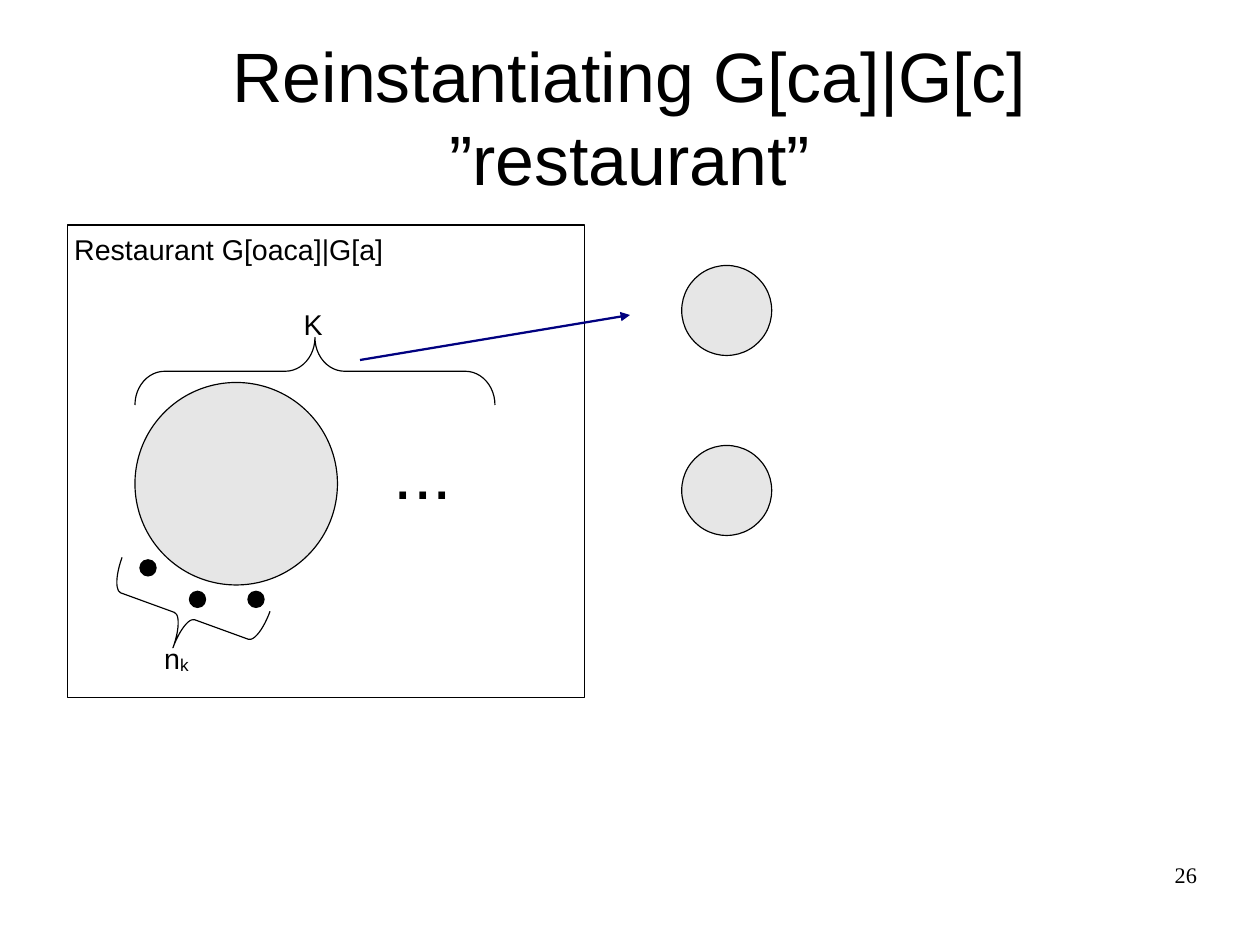
from dataclasses import dataclass

from lxml import etree
from pptx import Presentation
from pptx.dml.color import RGBColor
from pptx.enum.shapes import MSO_CONNECTOR, MSO_SHAPE
from pptx.enum.text import MSO_ANCHOR, PP_ALIGN
from pptx.oxml.ns import qn
from pptx.util import Cm, Pt

RECT = MSO_SHAPE.RECTANGLE
OVAL = MSO_SHAPE.OVAL
BRACE = MSO_SHAPE.RIGHT_BRACE
LINE = MSO_CONNECTOR.STRAIGHT
TOP, MIDDLE = MSO_ANCHOR.TOP, MSO_ANCHOR.MIDDLE
LEFT, CENTER, RIGHT = PP_ALIGN.LEFT, PP_ALIGN.CENTER, PP_ALIGN.RIGHT

BLACK, GREY, NAVY = "000000", "E6E6E6", "000080"


@dataclass
class Disc:
    left: float
    top: float
    size: float
    fill: str


@dataclass
class Brace:
    left: float
    top: float
    width: float
    height: float
    turn: float
    curve: float


TABLES = [Disc(3, 8.5, 4.5, GREY)] + [Disc(15.15, top, 2, GREY) for top in (5.9, 9.9)]
GUESTS = [
    Disc(left, top, 0.36, BLACK)
    for left, top in ((4.21, 13.14), (5.51, 13.14), (3.11, 12.44))
]
BRACES = [
    Brace(6.25, 4.25, 1.5, 8, 270, 0.44),
    Brace(3.35, 11.94, 1.5, 3.5, 110, 0.16),
]


def color(code: str) -> RGBColor:
    return RGBColor.from_string(code)


def add_form(slide, kind, left: float, top: float, width: float, height: float,
             fill: str = ""):
    form = slide.shapes.add_shape(kind, Cm(left), Cm(top), Cm(width), Cm(height))
    form.shadow.inherit = False
    if fill:
        form.fill.solid()
        form.fill.fore_color.rgb = color(fill)
    else:
        form.fill.background()
    form.line.color.rgb = color(BLACK)
    form.line.width = Pt(0)
    return form


def add_disc(slide, disc: Disc) -> None:
    add_form(slide, OVAL, disc.left, disc.top, disc.size, disc.size, disc.fill)


def add_brace(slide, brace: Brace) -> None:
    form = add_form(slide, BRACE, brace.left, brace.top, brace.width, brace.height)
    form.adjustments[0] = brace.curve
    form.rotation = brace.turn


def add_text(slide, text: str, left: float, top: float, width: float, height: float, *,
             size: float = 18, font: str = "Arial", align=LEFT, anchor=TOP,
             pad: bool = True, sub: str = "") -> None:
    box = slide.shapes.add_textbox(Cm(left), Cm(top), Cm(width), Cm(height))
    frame = box.text_frame
    frame.word_wrap = True
    frame.vertical_anchor = anchor
    if not pad:
        frame.margin_left = frame.margin_right = 0
        frame.margin_top = frame.margin_bottom = 0
    para = frame.paragraphs[0]
    para.alignment = align
    for part in filter(None, (text, sub)):
        run = para.add_run()
        run.text = part
        run.font.name = font
        run.font.size = Pt(size)
        run.font.color.rgb = color(BLACK)
    if sub:
        run.font.size = Pt(18.6)
        run._r.get_or_add_rPr().set("baseline", "-8000")


def add_arrow(slide, x1: float, y1: float, x2: float, y2: float) -> None:
    arrow = slide.shapes.add_connector(LINE, Cm(x1), Cm(y1), Cm(x2), Cm(y2))
    arrow.line.color.rgb = color(NAVY)
    arrow.line.width = Pt(1.42)
    props = arrow._element.spPr
    etree.SubElement(props.find(qn("a:ln")), qn("a:tailEnd"), type="triangle")
    etree.SubElement(props, qn("a:effectLst"))


def main() -> None:
    deck = Presentation()
    deck.slide_width, deck.slide_height = Cm(28), Cm(21)
    slide = deck.slides.add_slide(deck.slide_layouts[6])

    add_text(slide, "Reinstantiating G[ca]|G[c] ”restaurant”", 1.4, 0.84, 25.2, 3.48,
             size=44, align=CENTER, anchor=MIDDLE, pad=False)
    add_form(slide, RECT, 1.5, 5, 11.5, 10.5)
    add_text(slide, "Restaurant G[oaca]|G[a]", 1.4, 5.03, 8, 0.97)
    for disc in TABLES + GUESTS:
        add_disc(slide, disc)
    for brace in BRACES:
        add_brace(slide, brace)
    add_text(slide, "K", 6.5, 6.7, 1, 0.97)
    add_text(slide, "...", 8.5, 9.42, 2, 1.98, size=44)
    add_text(slide, "n", 3.4, 14.1, 1.4, 1.17, sub="k")
    add_arrow(slide, 8, 8, 14, 7)
    add_text(slide, "26", 20.07, 19.13, 6.53, 1.45, size=14,
             font="Times New Roman", align=RIGHT, pad=False)

    deck.save("out.pptx")


if __name__ == "__main__":
    main()
